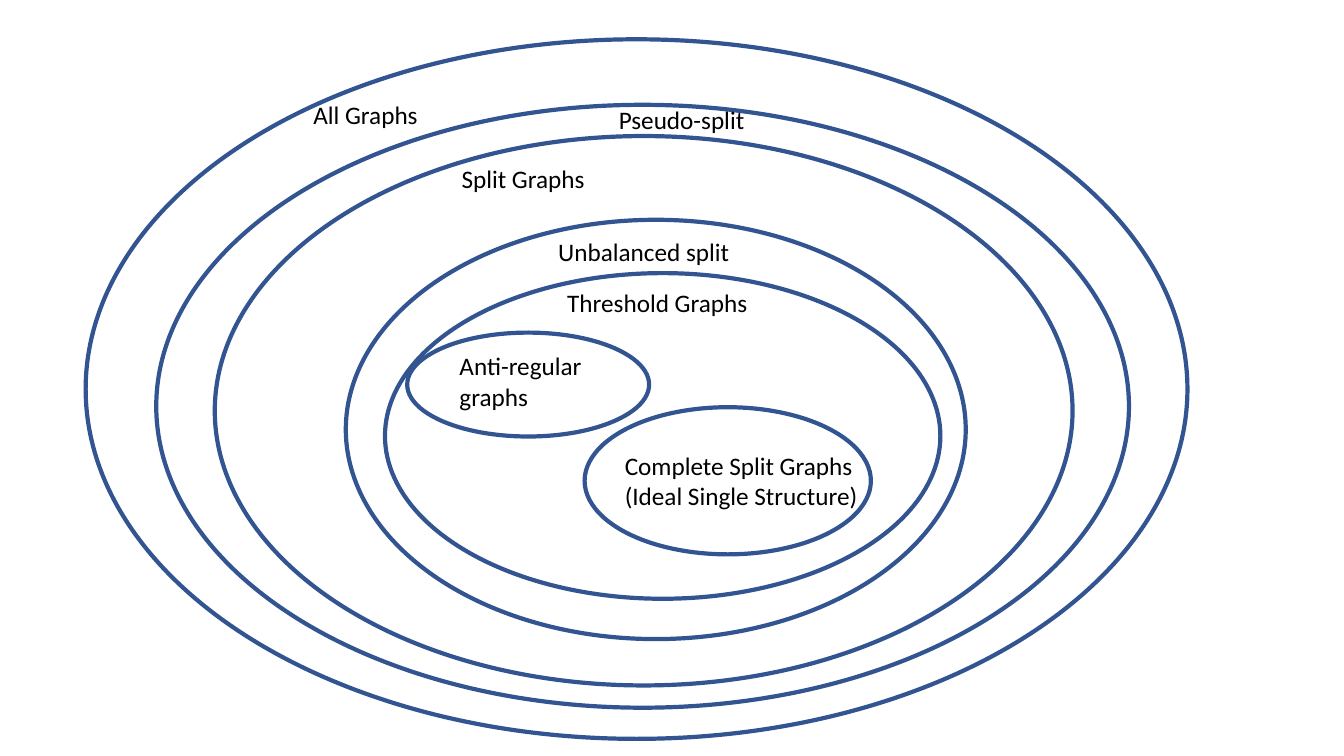
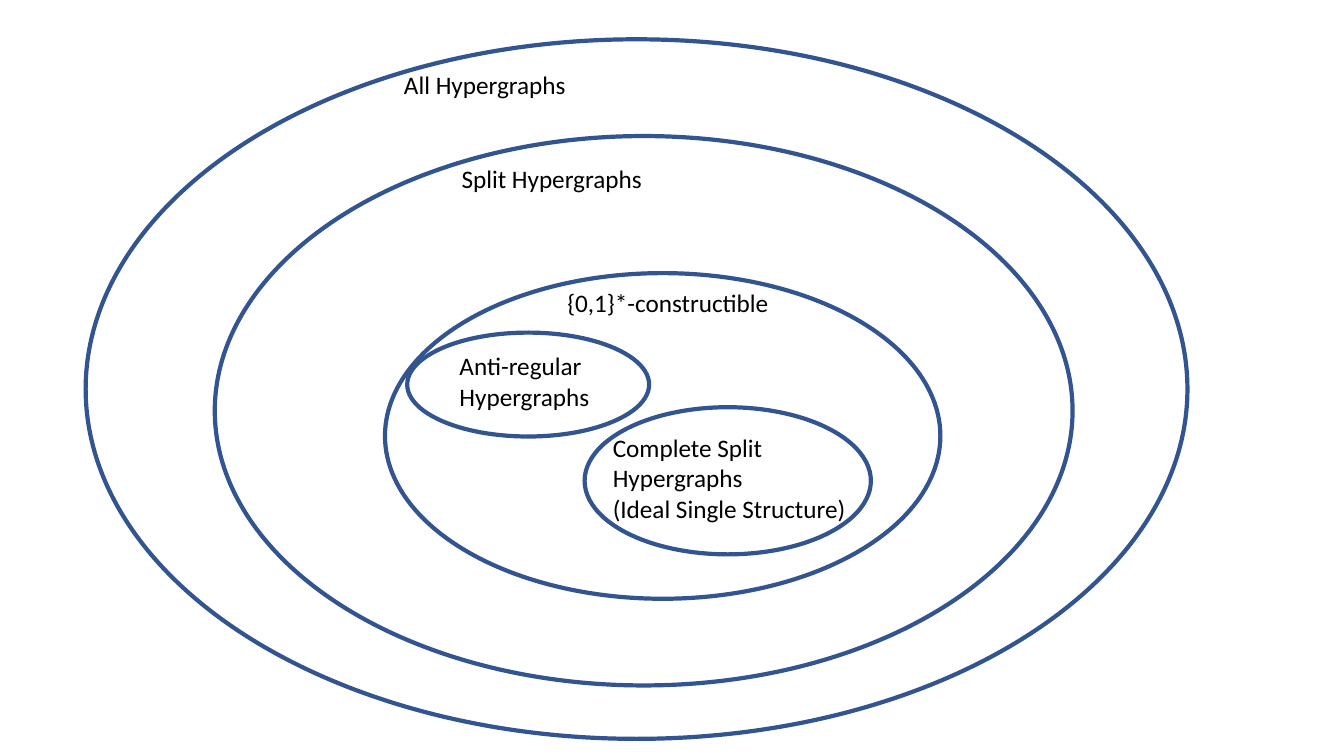
from pptx import Presentation
from pptx.dml.color import RGBColor
from pptx.enum import shapes, text
from pptx.util import Pt

COLOURS = {"outline": "325491", "label": "000000"}
FONT = "Calibri"
FONT_SIZE = 18
LINE_HEIGHT = 21.6
INSET = 3.6

# Each graph class keeps its ellipse on every slide: left, top, width, height
CLASSES = {
    "all": (61.2, 28.1, 787, 499.7),
    "pseudo-split": (111.6, 74.9, 694.8, 430.6),
    "split": (153.4, 97.2, 612.7, 392.4),
    "unbalanced": (247, 157, 442.8, 299.5),
    "threshold": (275, 195.1, 396.7, 232.6),
    "complete split": (417.6, 290.9, 204.5, 105.1),
    "anti-regular": (290.9, 237.6, 172.8, 74.2),
}

# Class: label text, offset of the label within the ellipse, width, lines
GRAPHS = {
    "all": ("All Graphs", 155.5, 39.6, 107, 1),
    "pseudo-split": ("Pseudo-split", 323.3, -3.6, 107, 1),
    "split": ("Split Graphs", 169.2, 15.8, 129, 1),
    "unbalanced": ("Unbalanced split", 144.7, 8.6, 160, 1),
    "threshold": ("Threshold Graphs", 123.1, 6.5, 147, 1),
    "complete split": (
        "Complete Split Graphs\n(Ideal Single Structure)", 21.6, 27.4, 192, 2),
    "anti-regular": ("Anti-regular graphs", 30.2, 9.4, 121, 2),
}
HYPERGRAPHS = {
    "all": ("All Hypergraphs", 220.3, 18, 158, 1),
    "split": ("Split Hypergraphs", 169.2, 15.8, 164, 1),
    "threshold": ("{0,1}*-constructible", 123.1, 6.5, 173, 1),
    "complete split": (
        "Complete Split Hypergraphs\n(Ideal Single Structure)", 13, 14.4, 192, 3),
    "anti-regular": ("Anti-regular Hypergraphs", 30.2, 9.4, 121, 2),
}


def colour(name):
    return RGBColor.from_string(COLOURS[name])


def add_ellipse(page, bounds):
    ellipse = page.shapes.add_shape(
        shapes.MSO_SHAPE.OVAL, *(Pt(length) for length in bounds))
    ellipse.shadow.inherit = False
    ellipse.fill.background()
    ellipse.line.color.rgb = colour("outline")
    ellipse.line.width = Pt(3)


def add_label(page, wording, left, top, width, lines):
    height = lines * LINE_HEIGHT + 2 * INSET
    box = page.shapes.add_textbox(Pt(left), Pt(top), Pt(width), Pt(height))
    frame = box.text_frame
    frame.word_wrap = True
    frame.auto_size = text.MSO_AUTO_SIZE.SHAPE_TO_FIT_TEXT
    frame.text = wording
    for para in frame.paragraphs:
        for span in para.runs:
            span.font.name = FONT
            span.font.size = Pt(FONT_SIZE)
            span.font.color.rgb = colour("label")


def add_class(page, bounds, label):
    """Draw one ellipse and its label, offset from the ellipse's corner."""
    wording, across, down, width, lines = label
    add_ellipse(page, bounds)
    add_label(page, wording, bounds[0] + across, bounds[1] + down, width, lines)


def add_hierarchy_slide(deck, labels):
    page = deck.slides.add_slide(deck.slide_layouts.get_by_name("Blank"))
    for name, label in labels.items():
        add_class(page, CLASSES[name], label)


def main():
    deck = Presentation()
    deck.slide_width, deck.slide_height = Pt(960), Pt(540)
    for labels in (GRAPHS, HYPERGRAPHS):
        add_hierarchy_slide(deck, labels)
    deck.save("out.pptx")


if __name__ == "__main__":
    main()
